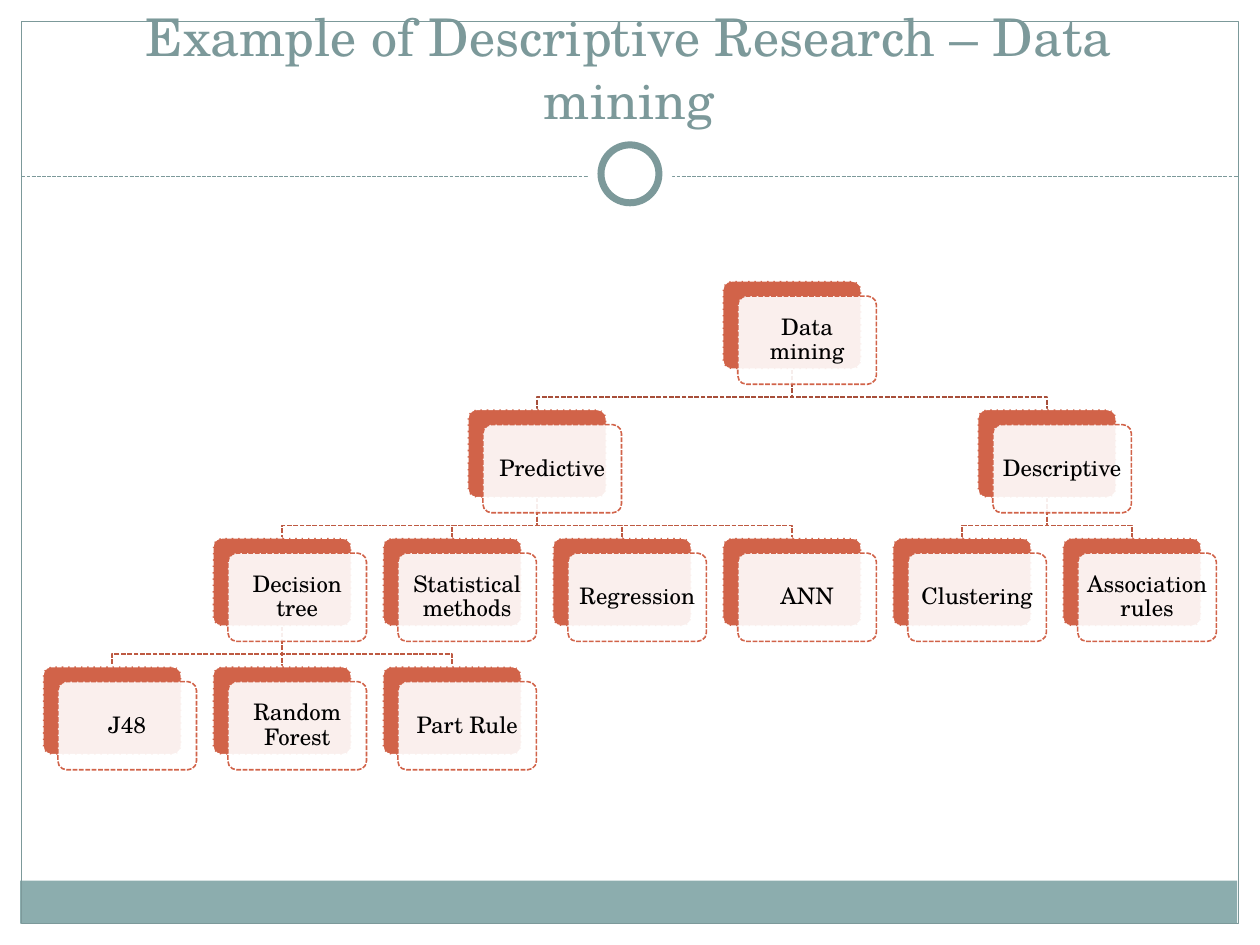
from lxml import etree
from pptx import Presentation
from pptx.dml.color import RGBColor
from pptx.enum.dml import MSO_LINE
from pptx.enum.shapes import MSO_CONNECTOR, MSO_SHAPE
from pptx.enum.text import MSO_ANCHOR, MSO_AUTO_SIZE, PP_ALIGN
from pptx.oxml.ns import qn
from pptx.util import Inches, Pt

RECTANGLE, ROUNDED, OVAL = MSO_SHAPE.RECTANGLE, MSO_SHAPE.ROUNDED_RECTANGLE, MSO_SHAPE.OVAL
STRAIGHT = MSO_CONNECTOR.STRAIGHT
DASH = MSO_LINE.SQUARE_DOT
CENTER = PP_ALIGN.CENTER
MIDDLE, BOTTOM = MSO_ANCHOR.MIDDLE, MSO_ANCHOR.BOTTOM
NO_AUTOFIT = MSO_AUTO_SIZE.NONE

WHITE = RGBColor(0xFF, 0xFF, 0xFF)
BLACK = RGBColor(0x00, 0x00, 0x00)
TEAL = RGBColor(0x7C, 0x99, 0x9A)
FOOTER_TEAL = RGBColor(0x8C, 0xAD, 0xAE)
RUST = RGBColor(0xD1, 0x63, 0x49)
ROOT_LINK = RGBColor(0xA7, 0x4F, 0x3A)
BRANCH_LINK = RGBColor(0xBE, 0x5A, 0x42)

FONT = "TeX Gyre Schola"
COLUMNS, ROWS = 100, 75
TREE_LEFT, TREE_TOP = 3.4, 22.3
COLUMN_STEP, LEVEL_STEP = 13.49, 10.2
CARD_WIDTH, CARD_HEIGHT = 11, 7
FRONT_SHIFT = 1.2
BEND_DROP = 2.2

NODES = {
    "Data mining": (4, 0, None),
    "Predictive": (2.5, 1, "Data mining"),
    "Decision tree": (1, 2, "Predictive"),
    "J48": (0, 3, "Decision tree"),
    "Random Forest": (1, 3, "Decision tree"),
    "Part Rule": (2, 3, "Decision tree"),
    "Statistical methods": (2, 2, "Predictive"),
    "Regression": (3, 2, "Predictive"),
    "ANN": (4, 2, "Predictive"),
    "Descriptive": (5.5, 1, "Data mining"),
    "Clustering": (5, 2, "Descriptive"),
    "Association rules": (6, 2, "Descriptive"),
}


def write(frame, text, size, color, anchor, inset=None, spacing=None):
    """Put one centred paragraph into a text frame."""
    frame.word_wrap = True
    frame.auto_size = NO_AUTOFIT
    frame.vertical_anchor = anchor
    if inset is not None:
        frame.margin_left = frame.margin_right = inset
        frame.margin_top = frame.margin_bottom = inset
    paragraph = frame.paragraphs[0]
    paragraph.text = text
    paragraph.alignment = CENTER
    paragraph.line_spacing = spacing
    font = paragraph.runs[0].font
    font.name, font.size, font.color.rgb = FONT, Pt(size), color


def card_corner(column, level):
    """Return the left and top of a tree card in grid units."""
    return TREE_LEFT + column * COLUMN_STEP, TREE_TOP + level * LEVEL_STEP


class Deck:
    """Hold the presentation, its grid and the current slide."""

    def __init__(self):
        """Start a 10 by 7.5 inch presentation."""
        self.presentation = Presentation()
        self.presentation.slide_width = Inches(10)
        self.presentation.slide_height = Inches(7.5)
        self.slide = self.presentation.slides.add_slide(self.presentation.slide_layouts[5])
        self.shapes = self.slide.shapes

    def place(self, x, y):
        """Turn a grid column and row into slide lengths."""
        return (round(self.presentation.slide_width * x / COLUMNS),
                round(self.presentation.slide_height * y / ROWS))

    def outline(self, line, color, width, dashed):
        """Format a line, or hide it when it has no colour."""
        if color is None:
            line.fill.background()
            return
        line.color.rgb = color
        line.width = Pt(width)
        if dashed:
            line.dash_style = DASH

    def title(self, text, x, y, width, height):
        """Move and fill the title placeholder."""
        heading = self.shapes.title
        heading.left, heading.top = self.place(x, y)
        heading.width, heading.height = self.place(width, height)
        write(heading.text_frame, text, 29.7, TEAL, BOTTOM)

    def shape(self, kind, x, y, width, height, fill=None, line=None, weight=0.75,
              dashed=False, opacity=None):
        """Add a preset shape."""
        figure = self.shapes.add_shape(kind, *self.place(x, y), *self.place(width, height))
        figure.shadow.inherit = False
        if fill is None:
            figure.fill.background()
        else:
            figure.fill.solid()
            figure.fill.fore_color.rgb = fill
        if opacity is not None:
            color = figure.fill._xPr.find(qn("a:solidFill"))[0]
            etree.SubElement(color, qn("a:alpha")).set("val", str(opacity * 1000))
        self.outline(figure.line, line, weight, dashed)
        return figure

    def line(self, start, end, color, weight):
        """Add a straight dashed connector."""
        rule = self.shapes.add_connector(STRAIGHT, *self.place(*start), *self.place(*end))
        etree.SubElement(rule._element.spPr, qn("a:effectLst"))
        self.outline(rule.line, color, weight, True)
        return rule

    def bent_line(self, points, color, weight):
        """Add an open dashed outline through the points."""
        start, *rest = [self.place(*point) for point in points]
        builder = self.shapes.build_freeform(*start)
        builder.add_line_segments(rest, close=False)
        branch = builder.convert_to_shape()
        branch.shadow.inherit = False
        branch.fill.background()
        self.outline(branch.line, color, weight, True)

    def link(self, parent, child, color):
        """Join two tree positions, returning the connector if it is straight."""
        (parent_x, parent_y), (child_x, child_y) = card_corner(*parent), card_corner(*child)
        start = parent_x + CARD_WIDTH / 2, parent_y + CARD_HEIGHT
        end = child_x + CARD_WIDTH / 2, child_y
        if parent[0] == child[0]:
            return self.line(start, end, color, 0.9)
        bend = start[1] + BEND_DROP
        self.bent_line([start, (start[0], bend), (end[0], bend), end], color, 0.9)
        return None

    def card(self, text, column, level):
        """Add a solid card with a translucent labelled card in front."""
        x, y = card_corner(column, level)
        back = self.shape(ROUNDED, x, y, CARD_WIDTH, CARD_HEIGHT, RUST, WHITE, 0.9, True)
        front = self.shape(ROUNDED, x + FRONT_SHIFT, y + FRONT_SHIFT, CARD_WIDTH, CARD_HEIGHT,
                           WHITE, RUST, 0.9, True, 90)
        back.adjustments[0] = front.adjustments[0] = 0.1
        write(front.text_frame, text, 13, BLACK, MIDDLE, Inches(0.04), 0.9)
        return back


def main():
    """Build the slide and save it."""
    deck = Deck()
    deck.shape(RECTANGLE, 1.6, 69.9, 96.6, 3.4, FOOTER_TEAL)
    deck.shape(RECTANGLE, 1.7, 1.7, 96.6, 71.6, line=TEAL)
    deck.line((1.7, 14), (98.3, 14), TEAL, 0.75)
    deck.shape(OVAL, 46.65, 10.5, 6.7, 6.7, WHITE)
    deck.shape(OVAL, 47.7, 11.5, 4.6, 4.6, WHITE, TEAL, 4)
    deck.title("Example of Descriptive Research – Data mining", 3.3, 2.5, 93.3, 8.3)

    straight_links = []
    for name, (column, level, parent) in NODES.items():
        if parent:
            color = ROOT_LINK if level == 1 else BRANCH_LINK
            connector = deck.link(NODES[parent][:2], (column, level), color)
            if connector is not None:
                straight_links.append((connector, parent, name))

    cards = {name: deck.card(name, column, level)
             for name, (column, level, _) in NODES.items()}
    for connector, parent, name in straight_links:
        connector.begin_connect(cards[parent], 2)
        connector.end_connect(cards[name], 0)

    deck.presentation.save("out.pptx")


if __name__ == "__main__":
    main()
